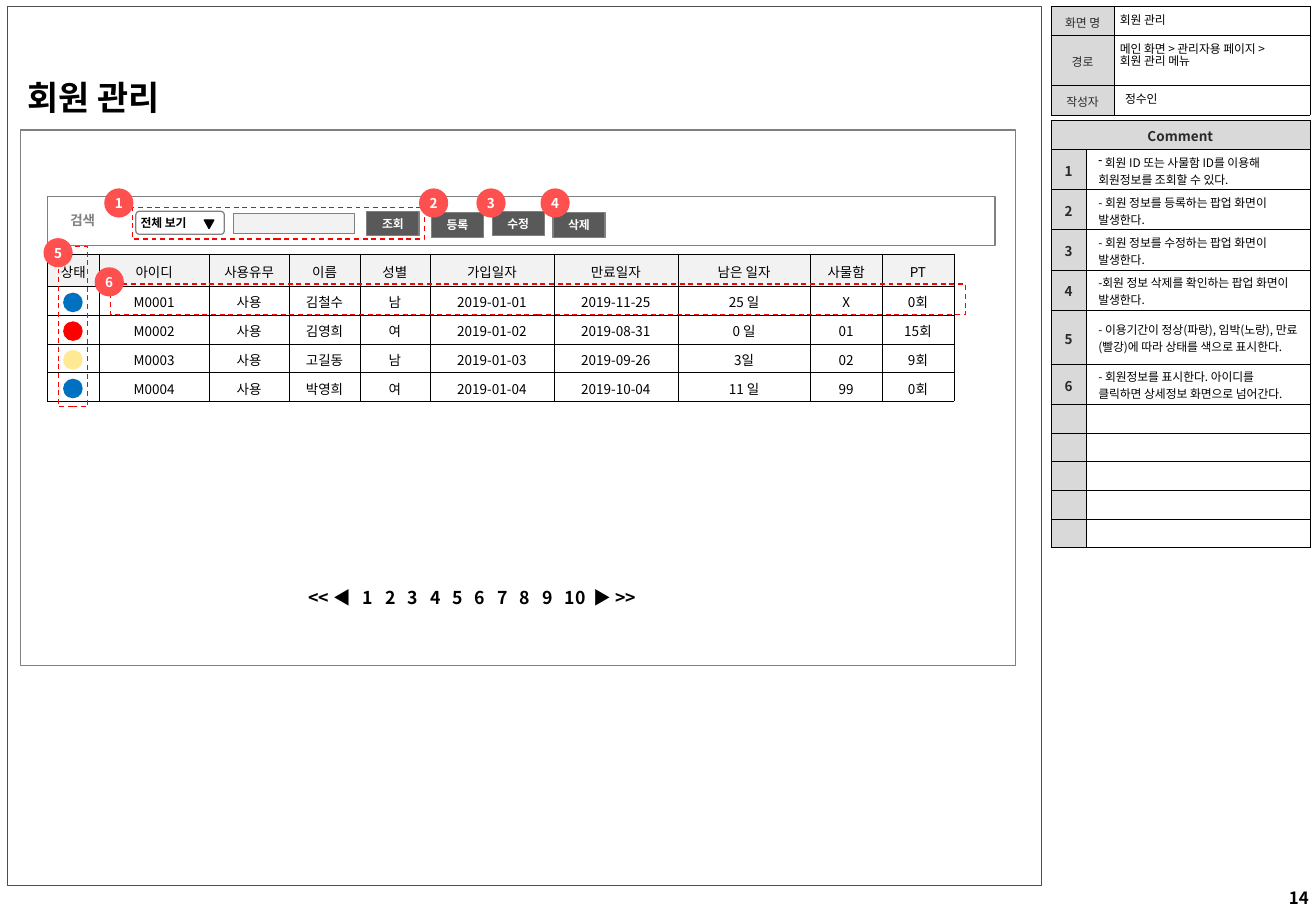
"""Draws the member management screen of a wireframe specification."""
from dataclasses import dataclass
from typing import Optional

from lxml.etree import SubElement
from pptx import Presentation
from pptx.dml.color import RGBColor
from pptx.enum.dml import MSO_LINE
from pptx.enum.shapes import MSO_SHAPE
from pptx.enum.text import MSO_ANCHOR, PP_ALIGN
from pptx.oxml.ns import qn
from pptx.util import Cm, Pt

FONT = "Noto Sans CJK KR"
BLACK, WHITE, INK = "000000", "FFFFFF", "292929"
GRAY, PALE, LABEL, DARK = "808080", "F2F2F2", "D9D9D9", "595959"
RED, BADGE = "FF0000", "FF5050"
LEFT, CENTER, RIGHT = PP_ALIGN.LEFT, PP_ALIGN.CENTER, PP_ALIGN.RIGHT


@dataclass
class Box:
    x: float
    y: float
    w: float
    h: float
    kind: MSO_SHAPE = MSO_SHAPE.RECTANGLE
    fill: Optional[str] = None
    line: Optional[str] = GRAY
    dashed: bool = False
    adj: Optional[float] = None
    rotation: float = 0


@dataclass
class Label:
    box: Box
    text: str
    size: float = 7
    color: str = BLACK
    bold: bool = False
    align: PP_ALIGN = LEFT
    spacing: Optional[float] = None


@dataclass
class Grid:
    x: float
    y: float
    cols: list[float]
    rows: list[float]


def rgb(value: str) -> RGBColor:
    return RGBColor.from_string(value)


def write(tf, text: str, size: float = 7, color: str = BLACK, bold: bool = False,
          align: PP_ALIGN = LEFT, spacing: Optional[float] = None,
          bullet: Optional[str] = None, tabs: tuple = ()):
    p = tf.paragraphs[0]
    p.alignment = align
    if spacing:
        p.line_spacing = spacing
    pPr = p._p.get_or_add_pPr()
    if bullet:
        pPr.set("marL", "0")
        pPr.set("indent", "0")
        SubElement(pPr, qn("a:buChar"), char=bullet)
    if tabs:
        stops = SubElement(pPr, qn("a:tabLst"))
        for pos in tabs:
            SubElement(stops, qn("a:tab"), pos=str(int(Cm(pos))), algn="l")
    if not text:
        SubElement(p._p, qn("a:endParaRPr"), sz=str(int(size * 100)))
    for i, part in enumerate(text.split("\n") if text else []):
        if i:
            p.add_line_break()
        r = p.add_run()
        r.text = part
        r.font.size, r.font.bold, r.font.name = Pt(size), bold, FONT
        r.font.color.rgb = rgb(color)
        SubElement(r._r.get_or_add_rPr(), qn("a:ea"), typeface=FONT)


def set_frame(tf, side: float, wrap: bool = True) -> None:
    tf.word_wrap = wrap
    tf.vertical_anchor = MSO_ANCHOR.MIDDLE
    tf.margin_left = tf.margin_right = Cm(side)


def draw_box(s, b: Box):
    sp = s.shapes.add_shape(b.kind, Cm(b.x), Cm(b.y), Cm(b.w), Cm(b.h))
    sp.shadow.inherit = False
    sp.rotation = b.rotation
    if b.adj is not None:
        sp.adjustments[0] = b.adj
    if b.fill:
        sp.fill.solid()
        sp.fill.fore_color.rgb = rgb(b.fill)
    else:
        sp.fill.background()
    if b.line:
        sp.line.color.rgb = rgb(b.line)
        sp.line.width = Pt(0.75)
        if b.dashed:
            sp.line.dash_style = MSO_LINE.DASH
    else:
        sp.line.fill.background()
    return sp


def draw_text(s, b: Box, text: str, **fmt) -> None:
    tf = s.shapes.add_textbox(Cm(b.x), Cm(b.y), Cm(b.w), Cm(b.h)).text_frame
    set_frame(tf, 0.25)
    write(tf, text, **fmt)


def draw_table(s, g: Grid):
    frame = s.shapes.add_table(len(g.rows), len(g.cols), Cm(g.x), Cm(g.y),
                               Cm(sum(g.cols)), Cm(sum(g.rows)))
    table = frame.table
    table.first_row = table.horz_banding = False
    for col, w in zip(table.columns, g.cols):
        col.width = Cm(w)
    for row, h in zip(table.rows, g.rows):
        row.height = Cm(h)
    return table


def fill_cell(cell, text: str, fill: Optional[str] = None, side: float = 0, **fmt) -> None:
    cell.vertical_anchor = MSO_ANCHOR.MIDDLE
    cell.margin_left = cell.margin_right = Cm(side)
    cell.margin_top, cell.margin_bottom = Cm(0.05), Cm(0)
    if fill:
        cell.fill.solid()
        cell.fill.fore_color.rgb = rgb(fill)
    else:
        cell.fill.background()
    tcPr = cell._tc.get_or_add_tcPr()
    for i, edge in enumerate(("a:lnL", "a:lnR", "a:lnT", "a:lnB")):
        ln = SubElement(tcPr, qn(edge), w=str(int(Pt(0.25))))
        SubElement(SubElement(ln, qn("a:solidFill")), qn("a:srgbClr"), val=BLACK)
        tcPr.insert(i, ln)
    write(cell.text_frame, text, **fmt)


LABELS = [
    Label(Box(25.55, 18.42, 2.06, 0.69), "14", 10, bold=True, align=RIGHT),
    Label(Box(23.27, 1.78, 4.19, 0.56), "정수인"),
    Label(Box(23.16, 0.13, 4.19, 0.56), "회원 관리"),
    Label(Box(23.16, 0.74, 4.19, 0.86), "메인 화면 > 관리자용 페이지 >\n회원 관리 메뉴", spacing=0.83),
    Label(Box(0.33, 1.47, 3.61, 1.12), "회원 관리", 20, bold=True),
    Label(Box(1.22, 4.34, 2.54, 0.58), "검색", 8, GRAY, True, spacing=0.9),
]
COMMENTS = [
    " 회원 ID 또는 사물함 ID를 이용해 회원정보를 조회할 수 있다.",
    "- 회원 정보를 등록하는 팝업 화면이 발생한다.",
    "- 회원 정보를 수정하는 팝업 화면이 발생한다.",
    "-회원 정보 삭제를 확인하는 팝업 화면이 발생한다.",
    "- 이용기간이 정상(파랑), 임박(노랑), 만료(빨강)에 따라 상태를 색으로 표시한다.",
    "- 회원정보를 표시한다. 아이디를 클릭하면 상세정보 화면으로 넘어간다.",
]
MEMBERS = [
    ("상태", "아이디", "사용유무", "이름", "성별", "가입일자", "만료일자", "남은 일자", "사물함", "PT"),
    ("", "M0001", "사용", "김철수", "남", "2019-01-01", "2019-11-25", "25 일", "X", "0회"),
    ("", "M0002", "사용", "김영희", "여", "2019-01-02", "2019-08-31", "0 일", "01", "15회"),
    ("", "M0003", "사용", "고길동", "남", "2019-01-03", "2019-09-26", "3일", "02", "9회"),
    ("", "M0004", "사용", "박영희", "여", "2019-01-04", "2019-10-04", "11 일", "99", "0회"),
]
BUTTONS = [("조회", 7.67, 4.42), ("등록", 9.02, 4.45), ("수정", 10.29, 4.42), ("삭제", 11.56, 4.45)]
BADGES = [(2.18, 3.94), (8.76, 3.94), (9.96, 3.94), (11.3, 3.94), (0.91, 4.98), (1.98, 5.59)]
OUTLINES = [(2.77, 4.34, 6.1, 0.66), (2.31, 5.94, 17.88, 0.64), (1.22, 5.16, 0.61, 3.35)]
STATES = ["0070C0", RED, "FFEA93", "0070C0"]


def draw_side_tables(s) -> None:
    info = draw_table(s, Grid(21.97, 0.13, [1.32, 4.09], [0.61, 1.05, 0.61]))
    for i, name in enumerate(("화면 명", "경로", "작성자")):
        fill_cell(info.cell(i, 0), name, LABEL, color=INK, align=CENTER)
        fill_cell(info.cell(i, 1), "")
    rows = [0.61] + [0.84] * 4 + [1.13, 0.84] + [0.6] * 5
    notes = draw_table(s, Grid(21.97, 2.51, [0.74, 4.67], rows))
    notes.cell(0, 0).merge(notes.cell(0, 1))
    head = dict(fill=LABEL, size=8, color=INK, bold=True, align=CENTER)
    fill_cell(notes.cell(0, 0), "Comment", **head)
    fill_cell(notes.cell(0, 1), "", LABEL)
    for i in range(1, len(rows)):
        used = i <= len(COMMENTS)
        fill_cell(notes.cell(i, 0), str(i) if used else "", **head)
        fill_cell(notes.cell(i, 1), COMMENTS[i - 1] if used else "", side=0.25,
                  bullet="-" if i == 1 else None)


def draw_members(s) -> None:
    cols = [1.09, 2.29, 1.68, 1.47, 1.47, 2.59, 2.59, 2.77, 1.5, 1.5]
    table = draw_table(s, Grid(0.99, 5.31, cols, [0.68] + [0.6] * 4))
    for i, row in enumerate(MEMBERS):
        for j, text in enumerate(row):
            fill_cell(table.cell(i, j), text, WHITE if i else PALE, size=8, align=CENTER)


def draw_search(s) -> None:
    draw_box(s, Box(0.99, 4.11, 19.81, 1.02, fill=WHITE))
    rounded = MSO_SHAPE.ROUNDED_RECTANGLE
    tf = draw_box(s, Box(2.84, 4.42, 1.85, 0.48, rounded, adj=0.15)).text_frame
    set_frame(tf, 0.08)
    write(tf, "전체 보기", bold=True)
    draw_box(s, Box(4.27, 4.6, 0.2, 0.18, MSO_SHAPE.ISOSCELES_TRIANGLE, BLACK, BLACK, rotation=180))
    draw_box(s, Box(4.88, 4.47, 2.54, 0.41, fill=PALE))
    for name, x, y in BUTTONS:
        tf = draw_box(s, Box(x, y, 1.09, 0.51, rounded, DARK, adj=0)).text_frame
        set_frame(tf, 0)
        write(tf, name, color=WHITE, bold=True, align=CENTER)


def draw_marks(s) -> None:
    for outline in OUTLINES:
        draw_box(s, Box(*outline, line=RED, dashed=True))
    for i, color in enumerate(STATES):
        draw_box(s, Box(1.32, 6.12 + 0.6 * i, 0.41, 0.41, MSO_SHAPE.OVAL, color, None))
    for i, (x, y) in enumerate(BADGES, 1):
        tf = draw_box(s, Box(x, y, 0.61, 0.61, MSO_SHAPE.OVAL, BADGE, None)).text_frame
        set_frame(tf, 0, wrap=False)
        write(tf, str(i), size=8, color=WHITE, bold=True, align=CENTER)


def main() -> None:
    prs = Presentation()
    prs.slide_width, prs.slide_height = Cm(27.51), Cm(19.05)
    s = prs.slides.add_slide(prs.slide_layouts[6])
    draw_box(s, Box(0.15, 0.13, 21.62, 18.39, line="4D4D4D"))
    draw_box(s, Box(0.43, 2.72, 20.8, 11.2, fill=WHITE))
    draw_side_tables(s)
    draw_members(s)
    draw_search(s)
    draw_marks(s)
    for item in LABELS:
        draw_text(s, item.box, item.text, size=item.size, color=item.color, bold=item.bold,
                  align=item.align, spacing=item.spacing)
    pages = "\t".join(["<< ◀", *map(str, range(1, 11)), "▶ >>"])
    stops = tuple(1.13 + 0.47 * i for i in range(10)) + (5.96,)
    draw_text(s, Box(6.2, 12.12, 9.4, 0.74), pages, size=10.5, bold=True, tabs=stops)
    prs.save("out.pptx")


if __name__ == "__main__":
    main()
